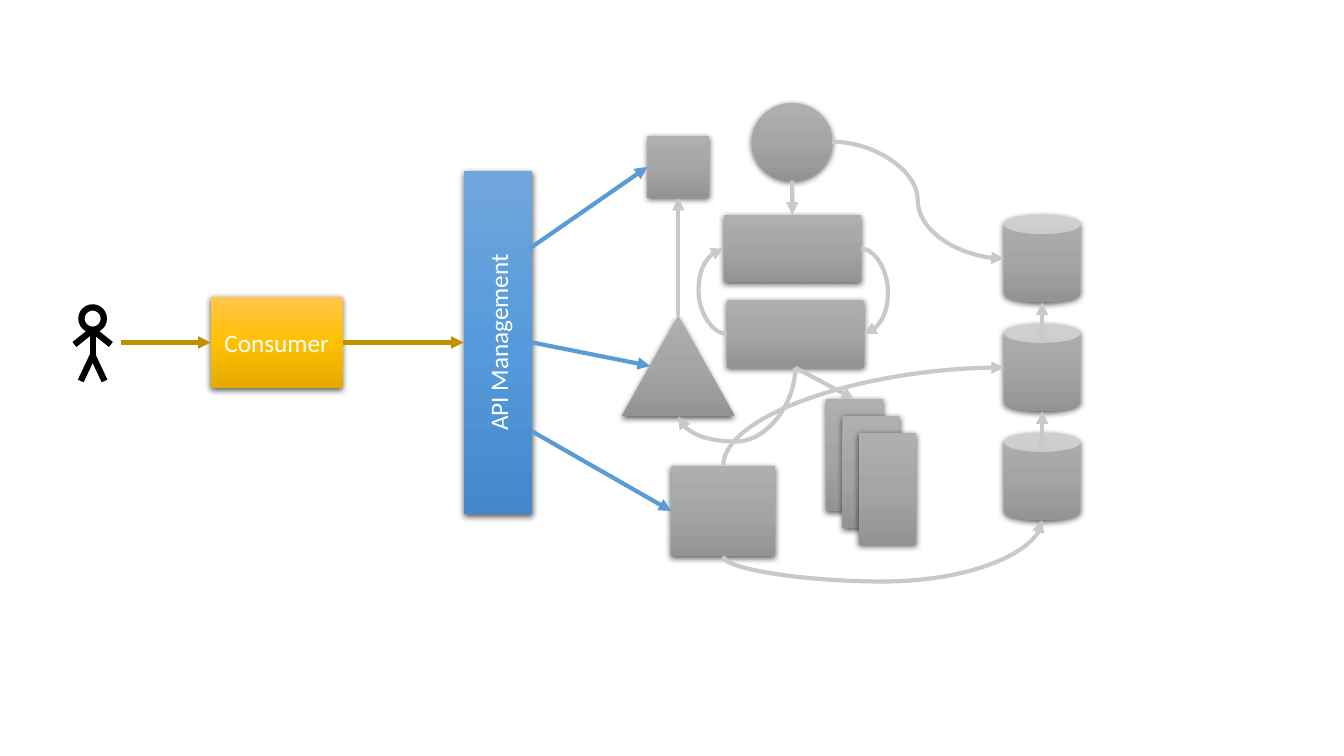
import copy
import pptx
import pptx.util
import pptx.dml.color
import pptx.enum.shapes
import pptx.enum.text
import pptx.oxml
import pptx.oxml.ns
import pptx.shapes.base
from lxml import etree

Pt = pptx.util.Pt
SHAPE = pptx.enum.shapes.MSO_SHAPE
LINE = pptx.enum.shapes.MSO_CONNECTOR
qn = pptx.oxml.ns.qn
TOP, LEFT, BOTTOM, RIGHT = range(4)

GREY = ("AFAFAF", "A5A5A5", "939393")
BLUE = ("71A6DB", "559BDB", "448ACA")
GOLD = ("FFC64B", "FFC000", "E3AB00")


def color(hex_code):
    return pptx.dml.color.RGBColor.from_string(hex_code)


def write(shape, text, font="Calibri", size=18, ink="FFFFFF", direction="horz"):
    frame = shape.text_frame
    frame.word_wrap = True
    frame.vertical_anchor = pptx.enum.text.MSO_ANCHOR.MIDDLE
    frame._txBody.bodyPr.set("vert", direction)
    paragraph = frame.paragraphs[0]
    paragraph.alignment = pptx.enum.text.PP_ALIGN.CENTER
    run = paragraph.add_run()
    run.text = text
    run.font.name = font
    run.font.size = Pt(size)
    run.font.color.rgb = color(ink)


def middle(shape, side):
    x = {LEFT: 0, RIGHT: 1}.get(side, 0.5)
    y = {TOP: 0, BOTTOM: 1}.get(side, 0.5)
    return ((shape.left + x * shape.width) / Pt(1),
            (shape.top + y * shape.height) / Pt(1))


class Diagram:
    wire = "C9C9C9"
    weight = 3

    def __init__(self, slide):
        self.slide = slide

    def block(self, left, top, width, height, kind=SHAPE.RECTANGLE, shades=GREY):
        shape = self.slide.shapes.add_shape(kind, Pt(left), Pt(top), Pt(width), Pt(height))
        shape.line.fill.background()
        shape.fill.gradient()
        shape.fill.gradient_angle = 270
        stops = shape._element.spPr.find(".//" + qn("a:gsLst"))
        stops.insert(1, copy.deepcopy(stops[0]))
        for index, stop in enumerate(shape.fill.gradient_stops):
            stop.position = index / 2
            stop.color.rgb = color(shades[index])
        shape.shadow.inherit = False
        effects = shape._element.spPr.find(qn("a:effectLst"))
        shadow = etree.SubElement(effects, qn("a:outerShdw"), blurRad=str(Pt(4.5)),
                                  dist=str(Pt(1.5)), dir="5400000", algn="ctr",
                                  rotWithShape="0")
        black = etree.SubElement(shadow, qn("a:srgbClr"), val="000000")
        etree.SubElement(black, qn("a:alpha"), val="63000")
        return shape

    def stroke(self, connector, ink, weight, heads):
        connector.line.color.rgb = color(ink)
        connector.line.width = Pt(weight)
        line = connector.line._get_or_add_ln()
        for head in heads:
            etree.SubElement(line, qn("a:" + head), type="triangle")
        etree.SubElement(connector._element.spPr, qn("a:effectLst"))

    def link(self, start, end, ink=wire, weight=weight, heads=("tailEnd",), shapes=None):
        joined = [isinstance(tip[0], pptx.shapes.base.BaseShape) for tip in (start, end)]
        (x1, y1), (x2, y2) = [middle(*tip) if join else tip
                              for tip, join in zip((start, end), joined)]
        connector = (shapes or self.slide.shapes).add_connector(
            LINE.STRAIGHT, Pt(x1), Pt(y1), Pt(x2), Pt(y2))
        if joined[0]:
            connector.begin_connect(*start)
        if joined[1]:
            connector.end_connect(*end)
        self.stroke(connector, ink, weight, heads)

    def curve(self, start, end, bend=None, upright=False):
        (x1, y1), (x2, y2) = start, end
        along, across = (y2 - y1, x1 - x2) if upright else (x2 - x1, y2 - y1)
        width, height = abs(along), abs(across)
        left, top = (x1 + x2 - width) / 2, (y1 + y2 - height) / 2
        connector = self.slide.shapes.add_connector(
            LINE.CURVE, Pt(left), Pt(top), Pt(left + width), Pt(top + height))
        frame = connector._element.spPr.find(qn("a:xfrm"))
        frame.set("rot", "5400000" if upright else "0")
        frame.set("flipH", str(int(along < 0)))
        frame.set("flipV", str(int(across < 0)))
        geometry = connector._element.spPr.find(qn("a:prstGeom"))
        if bend is None:
            geometry.set("prst", "curvedConnector2")
        else:
            ratio = (bend - (y1 if upright else x1)) / along
            etree.SubElement(geometry.get_or_add_avLst(), qn("a:gd"), name="adj1",
                             fmla=f"val {round(ratio * 100000)}")
        self.stroke(connector, self.wire, self.weight, ("tailEnd",))

    def person(self, x, top):
        shapes = self.slide.shapes.add_group_shape().shapes
        head = shapes.add_shape(SHAPE.OVAL, Pt(x - 8), Pt(top), Pt(16), Pt(16))
        head.fill.background()
        head.line.color.rgb = color("000000")
        head.line.width = Pt(4.5)
        head.shadow.inherit = False
        neck, hip = top + 16, top + 34.5
        limbs = [(neck, 0, hip + 2), (neck, -13, neck + 10.5), (neck, 13, neck + 10.5),
                 (hip, -8.5, hip + 18), (hip, 8.5, hip + 18)]
        for begin, reach, finish in limbs:
            self.link((x, begin), (x + reach, finish), "000000", 4.5, (), shapes)


def main():
    deck = pptx.Presentation()
    deck.slide_width, deck.slide_height = Pt(960), Pt(540)
    diagram = Diagram(deck.slides.add_slide(deck.slide_layouts[6]))

    origin = diagram.block(537.3, 73.5, 57, 55.5, SHAPE.OVAL)
    hub = diagram.block(444.2, 225.4, 80.6, 72, SHAPE.ISOSCELES_TRIANGLE)
    upper = diagram.block(517, 153.4, 97.9, 48.2)
    gateway = diagram.block(462.5, 97.2, 44, 44)
    stores = [diagram.block(717.1, 153.4 + 77.8 * row, 54.7, 62.6, SHAPE.CAN)
              for row in range(3)]
    ledger = diagram.block(479.5, 332.6, 74.2, 64.8)
    sheets = [diagram.block(589.7 + 12 * step, 285.1 + 12 * step, 41, 79.9)
              for step in range(3)]

    diagram.link(middle(origin, BOTTOM), (upper, TOP))
    diagram.curve(middle(origin, RIGHT), middle(stores[0], LEFT), bend=655.6)
    lower = diagram.block(519.1, 214.4, 97.9, 48.2)
    diagram.curve(middle(upper, RIGHT), middle(lower, RIGHT), bend=634.3)
    diagram.curve(middle(lower, LEFT), middle(upper, LEFT), bend=499)
    diagram.curve(middle(lower, BOTTOM), middle(hub, BOTTOM), bend=315.4, upright=True)
    diagram.link(middle(hub, TOP), (gateway, BOTTOM))
    for store, below in zip(stores, stores[1:]):
        x, rim = middle(below, TOP)
        diagram.link(middle(store, BOTTOM), (x, rim + 13.7), heads=("headEnd", "tailEnd"))
    diagram.link((lower, BOTTOM), (sheets[0], TOP))
    diagram.curve(middle(ledger, BOTTOM), middle(stores[2], BOTTOM), bend=415.4, upright=True)
    diagram.curve(middle(ledger, TOP), middle(stores[1], LEFT), upright=True)

    management = diagram.block(331.2, 121.9, 49, 245.5, shades=BLUE)
    write(management, "API Management", direction="vert270")
    diagram.link((379, 177.1), (gateway, LEFT), "5B9BD5")
    diagram.link((management, RIGHT), (464.4, 261.4), "5B9BD5")
    diagram.link((380.2, 308.2), (ledger, LEFT), "5B9BD5")

    consumer = diagram.block(150.5, 211.9, 94.3, 65.5, shades=GOLD)
    write(consumer, "Consumer")
    diagram.link((consumer, RIGHT), (management, LEFT), "BF9000")
    diagram.person(66.2, 219.6)
    diagram.link((86.4, 244.65), (consumer, LEFT), "BF9000")

    deck.save("out.pptx")


if __name__ == "__main__":
    main()
